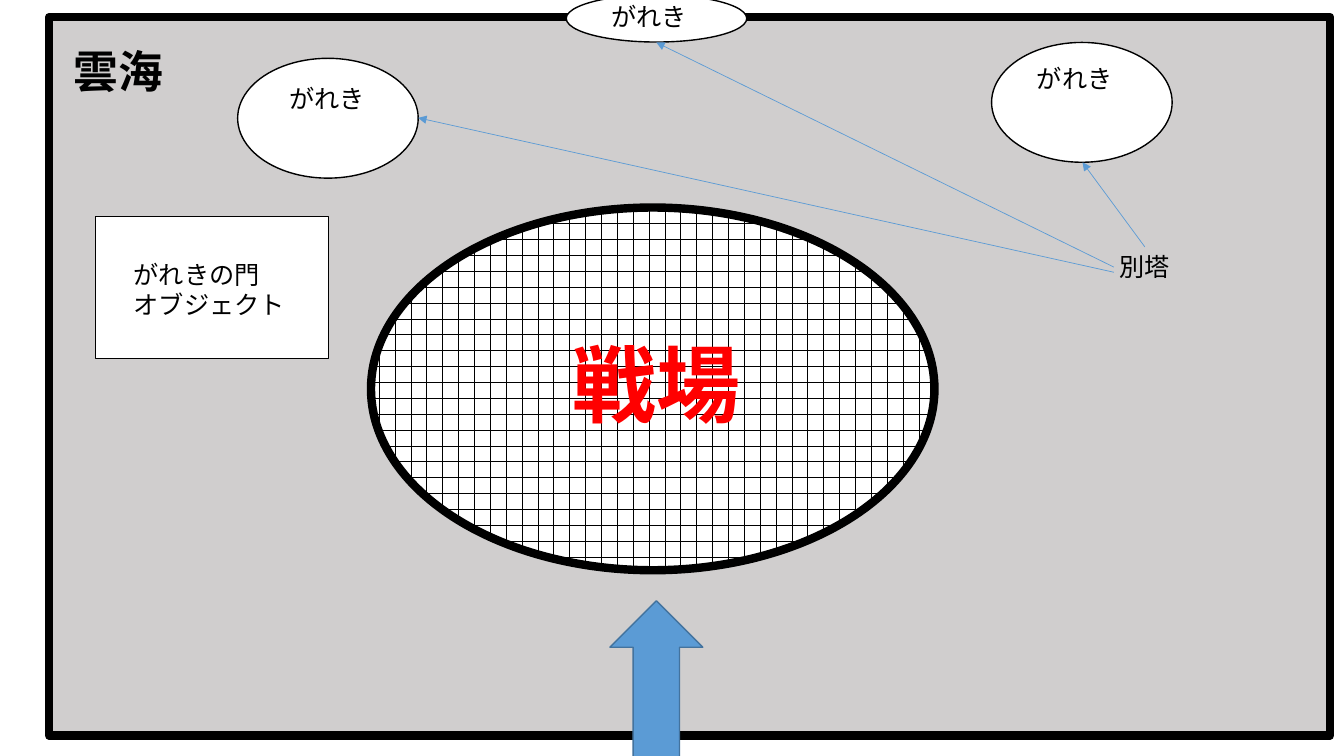
from dataclasses import dataclass

import lxml.etree
import pptx
import pptx.dml.color
import pptx.enum.dml
import pptx.enum.shapes
import pptx.enum.text
import pptx.oxml.ns
import pptx.util

Cm = pptx.util.Cm
Pt = pptx.util.Pt
Kind = pptx.enum.shapes.MSO_SHAPE
Align = pptx.enum.text.PP_ALIGN
qn = pptx.oxml.ns.qn


@dataclass(frozen=True)
class Theme:
    font: str = "Calibri"
    ink: str = "000000"
    paper: str = "FFFFFF"
    cloud: str = "D0CECE"
    alert: str = "FF0000"
    blue: str = "5B9BD5"
    navy: str = "43739E"
    label: int = 18
    head: int = 32
    hero: int = 60
    hair: float = 0.5
    thin: float = 1
    bold: float = 6


def rgb(code):
    return pptx.dml.color.RGBColor.from_string(code)


class Map:
    def __init__(self, slide, theme):
        self.slide = slide
        self.theme = theme

    def shape(self, kind, box, fill, line, width):
        item = self.slide.shapes.add_shape(kind, *map(Cm, box))
        item.shadow.inherit = False
        item.fill.solid()
        item.fill.fore_color.rgb = rgb(fill)
        item.line.color.rgb = rgb(line)
        item.line.width = Pt(width)
        return item

    def grid(self, item):
        """Fill a shape with a dotted grid."""
        item.fill.patterned()
        item.fill.pattern = pptx.enum.dml.MSO_PATTERN.DOTTED_GRID
        item.fill.fore_color.rgb = rgb(self.theme.ink)
        item.fill.back_color.rgb = rgb(self.theme.paper)

    def letter(self, item, lines, size, color, bold=False, align=Align.LEFT, wrap=True):
        """Put lines of text into a shape, one paragraph each."""
        frame = item.text_frame
        frame.word_wrap = wrap
        frame.auto_size = pptx.enum.text.MSO_AUTO_SIZE.SHAPE_TO_FIT_TEXT
        frame.vertical_anchor = pptx.enum.text.MSO_ANCHOR.TOP
        for i, line in enumerate(lines):
            para = frame.add_paragraph() if i else frame.paragraphs[0]
            para.alignment = align
            run = para.add_run()
            run.text = line
            run.font.name = self.theme.font
            run.font.size = Pt(size)
            run.font.bold = bold
            run.font.color.rgb = rgb(color)

    def text(self, box, lines, size, color, **style):
        item = self.slide.shapes.add_textbox(*map(Cm, box))
        self.letter(item, lines, size, color, **style)

    def label(self, box, *lines, wrap=True):
        self.text(box, lines, self.theme.label, self.theme.ink, wrap=wrap)

    def title(self, box, line):
        """Fill the title placeholder and bring it to the front."""
        item = self.slide.shapes.title
        item.left, item.top, item.width, item.height = map(Cm, box)
        self.letter(item, [line], self.theme.head, self.theme.ink, bold=True)
        self.slide.shapes.element.append(item.element)

    def arrow(self, start, end):
        kind = pptx.enum.shapes.MSO_CONNECTOR.STRAIGHT
        item = self.slide.shapes.add_connector(kind, *map(Cm, start + end))
        item.line.color.rgb = rgb(self.theme.blue)
        item.line.width = Pt(self.theme.hair)
        props = item.element.spPr
        tip = lxml.etree.SubElement(props.find(qn("a:ln")), qn("a:tailEnd"))
        tip.set("type", "triangle")
        lxml.etree.SubElement(props, qn("a:effectLst"))


def main():
    deck = pptx.Presentation()
    deck.slide_width, deck.slide_height = Cm(33.87), Cm(19.05)
    theme = Theme()
    area = Map(deck.slides.add_slide(deck.slide_layouts[5]), theme)

    area.shape(Kind.RECTANGLE, (1.24, 0.43, 32.28, 18.11),
               theme.cloud, theme.ink, theme.bold)
    area.title((1.6, 0.97, 4.04, 1.63), "雲海")

    field = area.shape(Kind.OVAL, (9.35, 5.23, 14.2, 9.14),
                       theme.paper, theme.ink, theme.bold)
    area.grid(field)
    area.text((13.41, 8.26, 6.25, 2.82), ["戦場"], theme.hero, theme.alert,
              bold=True, align=Align.CENTER)

    entry = area.shape(Kind.LEFT_ARROW, (14.33, 16.18, 4.42, 2.34),
                       theme.blue, theme.navy, theme.thin)
    entry.rotation = 90

    # Each heap of rubble: left, top, height, label place, arrow from the tower
    rubble = [
        (24.99, 1.07, 3.02, (25.88, 1.47), (28.85, 6.22), (27.28, 4.09)),
        (14.27, -0.13, 1.19, (15.16, -0.1), (28.07, 6.73), (16.54, 1.07)),
        (5.99, 1.47, 3.02, (7.04, 1.98), (28.07, 6.86), (10.54, 2.97)),
    ]
    for left, top, height, place, start, end in rubble:
        area.shape(Kind.OVAL, (left, top, 4.55, height),
                   theme.paper, theme.ink, theme.thin)
        area.label(place + (2.79, 1.02), "がれき")
        area.arrow(start, end)
    area.label((27.97, 6.22, 1.8, 1.02), "別塔", wrap=False)

    area.shape(Kind.RECTANGLE, (2.41, 5.46, 5.87, 3.58),
               theme.paper, theme.ink, theme.thin)
    area.label((3.12, 6.4, 4.37, 1.8), "がれきの門", "オブジェクト")

    deck.save("out.pptx")


if __name__ == "__main__":
    main()
